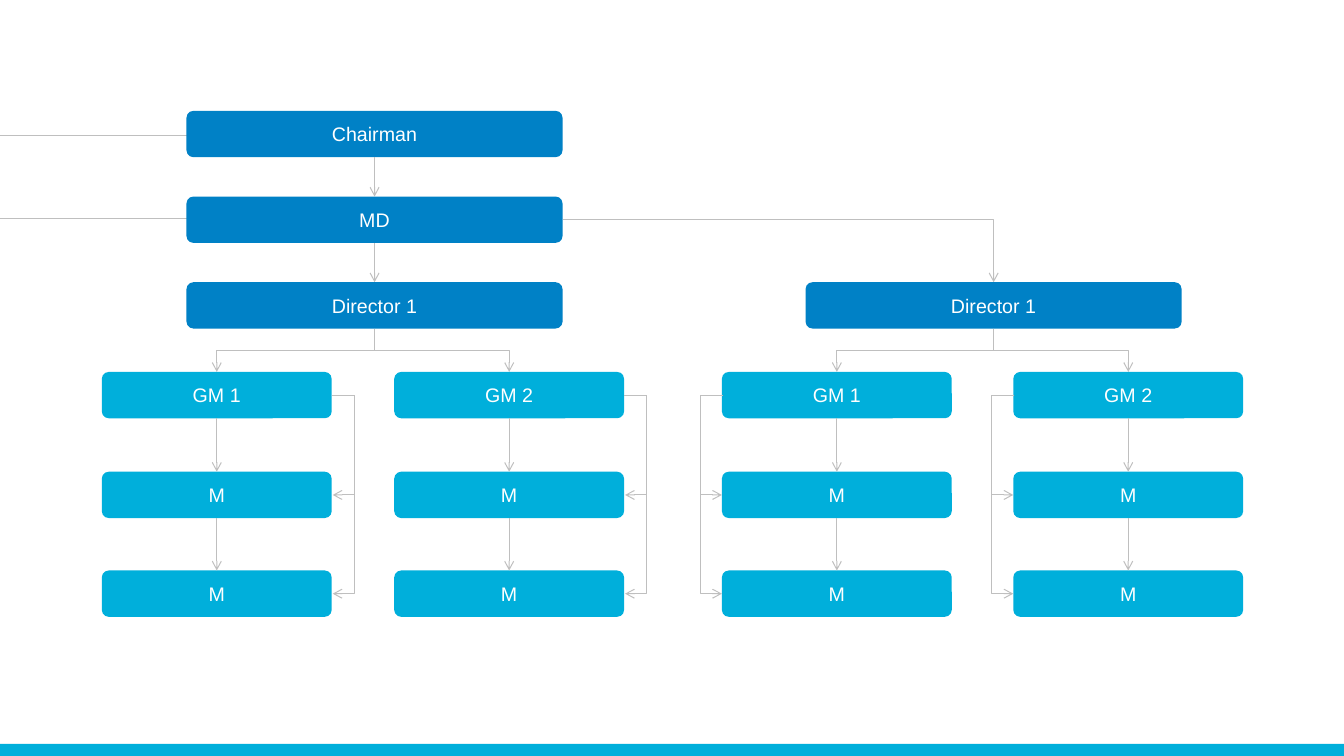
from dataclasses import dataclass
from lxml.etree import SubElement as Sub
from pptx import Presentation
from pptx.dml.color import RGBColor as RGB
from pptx.enum.shapes import MSO_CONNECTOR as LINK, MSO_SHAPE as SHAPE
from pptx.enum.text import MSO_ANCHOR as ANCHOR, PP_ALIGN as ALIGN
from pptx.oxml.ns import qn
from pptx.util import Inches, Pt


@dataclass(frozen=True)
class Theme:
    dark: RGB = RGB(0x00, 0x81, 0xC6)
    light: RGB = RGB(0x00, 0xAF, 0xDB)
    line: RGB = RGB(0xBF, 0xBF, 0xBF)
    white: RGB = RGB(0xFF, 0xFF, 0xFF)
    font: str = "Arial"
    size: float = 14
    weight: float = 0.75


THEME = Theme()
HIGH = 0.46  # height of every box
WIDE, SLIM = 3.73, 2.28  # widths of leader and manager boxes
TOP = [1.1, 1.95, 2.8]  # Chairman, MD, Director
LOW = [3.69, 4.68, 5.66]  # GM, M, M
LEAD = 1.85
GAP, NIB = 0.23, 0.01  # reach of the side links, and their end offset


def put(item, **values):
    for name, value in values.items():
        setattr(item, name, value)


def block(slide, kind, x, y, w, h, fill):
    shape = slide.shapes.add_shape(kind, Inches(x), Inches(y), Inches(w), Inches(h))
    shape.shadow.inherit = False
    shape.fill.solid()
    shape.fill.fore_color.rgb = fill
    shape.line.fill.background()
    return shape


def box(slide, text, x, y, w, fill):
    shape = block(slide, SHAPE.ROUNDED_RECTANGLE, x, y, w, HIGH, fill)
    shape.adjustments[0] = 0.149
    put(shape.text_frame, text=text, word_wrap=True, vertical_anchor=ANCHOR.MIDDLE)
    para = shape.text_frame.paragraphs[0]
    para.alignment = ALIGN.CENTER
    put(para.font, name=THEME.font, size=Pt(THEME.size))
    para.font.color.rgb = THEME.white


def link(slide, x1, y1, x2, y2, kind=LINK.STRAIGHT, arrow=True):
    line = slide.shapes.add_connector(kind, Inches(x1), Inches(y1), Inches(x2), Inches(y2))
    line.line.color.rgb = THEME.line
    line.line.width = Pt(THEME.weight)
    props = line._element.spPr
    if arrow:
        Sub(props.find(qn("a:ln")), qn("a:tailEnd"), type="arrow")
    Sub(props, qn("a:effectLst"))
    return props


def turn(slide, x1, y1, x2, y2):
    """Link that runs across, then down."""
    props = link(slide, x1, y1, x2, y2, LINK.ELBOW)
    props.find(qn("a:prstGeom")).set("prst", "bentConnector2")


def fork(slide, x1, y1, x2, y2):
    """Link that runs down, across and down: an elbow turned by a quarter."""
    mid, half = (x1 + x2) / 2, (y2 - y1) / 2
    span = abs(x2 - x1) / 2
    cy = (y1 + y2) / 2
    side = 1 if x2 > x1 else -1
    props = link(slide, mid + side * half, cy - span, mid - side * half, cy + span, LINK.ELBOW)
    props.find(qn("a:xfrm")).set("rot", str((270 if side > 0 else 90) * 60000))


def loop(slide, x, y1, y2, side):
    """Link that leaves a box sideways and returns to one below it."""
    props = link(slide, x, y1, x + side * NIB, y2, LINK.ELBOW)
    geom = props.find(qn("a:prstGeom"))
    marks = geom.find(qn("a:avLst"))
    Sub(marks, qn("a:gd"), name="adj1", fmla=f"val {round(GAP / NIB * 100000)}")


def column(slide, head, x, side):
    mid = x + SLIM / 2
    edge = x + SLIM if side > 0 else x + NIB
    for text, y in zip([head, "M", "M"], LOW):
        box(slide, text, x, y, SLIM, THEME.light)
    for upper, lower in zip(LOW, LOW[1:]):
        link(slide, mid, upper + HIGH, mid, lower)
        loop(slide, edge, LOW[0] + HIGH / 2, lower + HIGH / 2, side)


def branch(slide, x, lefts, side):
    box(slide, "Director 1", x, TOP[2], WIDE, THEME.dark)
    for head, left in zip(["GM 1", "GM 2"], lefts):
        fork(slide, x + WIDE / 2, TOP[2] + HIGH, left + SLIM / 2, LOW[0])
        column(slide, head, left, side)


def main():
    deck = Presentation()
    put(deck, slide_width=Inches(13.33), slide_height=Inches(7.5))
    slide = deck.slides.add_slide(deck.slide_layouts[6])

    # Lines from the slide edge
    for y in (1.34, 2.17):
        link(slide, 0, y, LEAD, y, arrow=False)

    # Leaders
    mid = LEAD + WIDE / 2
    for text, y, below in zip(["Chairman", "MD"], TOP, TOP[1:]):
        box(slide, text, LEAD, y, WIDE, THEME.dark)
        link(slide, mid, y + HIGH, mid, below)

    # Directors and their teams
    right = 7.99
    turn(slide, LEAD + WIDE, TOP[1] + HIGH / 2, right + WIDE / 2, TOP[2])
    branch(slide, LEAD, [1.01, 3.91], 1)
    branch(slide, right, [7.16, 10.05], -1)

    # Footer bar
    block(slide, SHAPE.RECTANGLE, 0, 7.38, 13.33, 0.17, THEME.light)
    deck.save("out.pptx")


if __name__ == "__main__":
    main()
